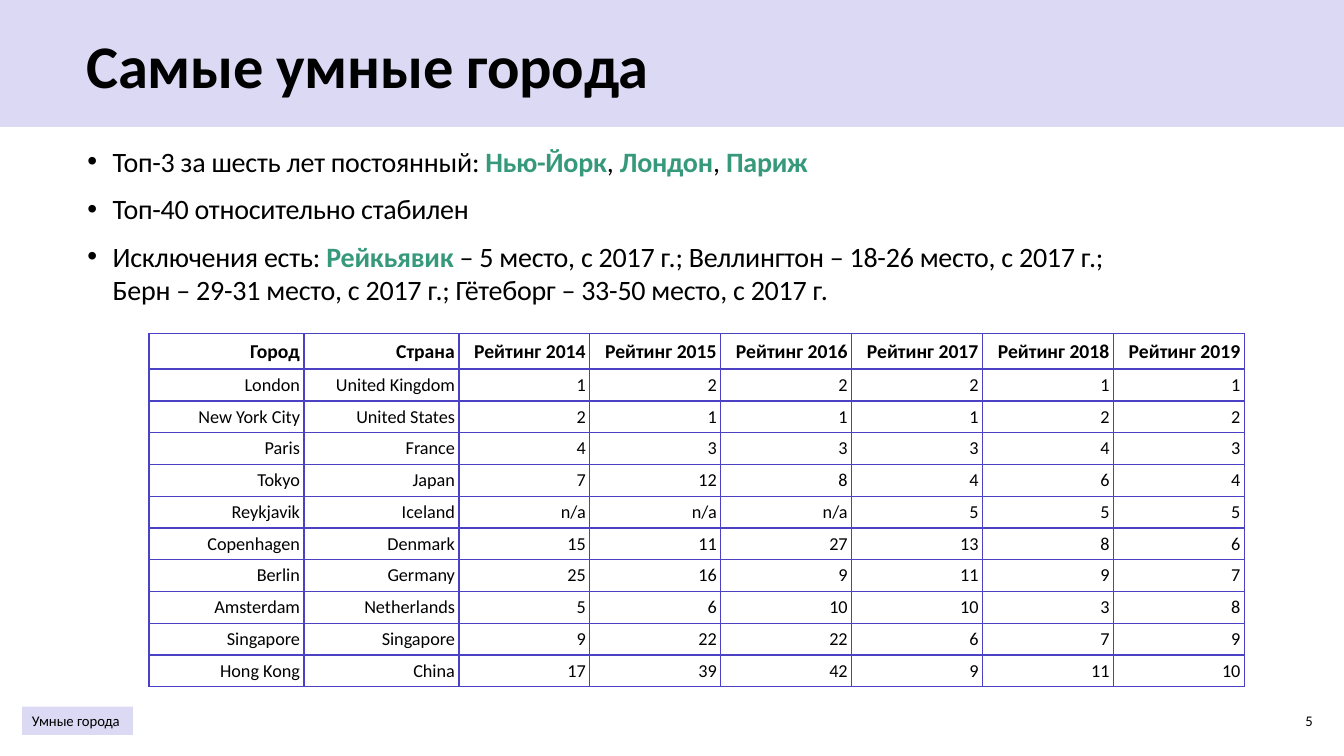
from collections import namedtuple

from lxml.etree import SubElement
from pptx import Presentation
from pptx.dml.color import RGBColor
from pptx.enum.shapes import MSO_SHAPE
from pptx.enum.text import MSO_ANCHOR, PP_ALIGN
from pptx.oxml.ns import qn
from pptx.util import Pt

Box = namedtuple("Box", "left top width height")

LAVENDER = RGBColor(0xDB, 0xD9, 0xF3)
INDIGO = RGBColor(0x4A, 0x41, 0xC5)
GREEN = RGBColor(0x37, 0x99, 0x7B)
BLACK = RGBColor(0, 0, 0)
FONT = "Calibri"

BULLETS = [
    [("Топ-3 за шесть лет постоянный: ", False), ("Нью-Йорк", True), (", ", False),
     ("Лондон", True), (", ", False), ("Париж", True)],
    [("Топ-40 относительно стабилен", False)],
    [("Исключения есть: ", False), ("Рейкьявик", True),
     (" – 5 место, с 2017 г.; Веллингтон – 18-26 место, с 2017 г.; "
      "Берн – 29-31 место, с 2017 г.; Гётеборг – 33-50 место, с 2017 г.", False)],
]

HEADER = ["Город", "Страна"] + [f"Рейтинг {year}" for year in range(2014, 2020)]
CITIES = [
    ("London", "United Kingdom", 1, 2, 2, 2, 1, 1),
    ("New York City", "United States", 2, 1, 1, 1, 2, 2),
    ("Paris", "France", 4, 3, 3, 3, 4, 3),
    ("Tokyo", "Japan", 7, 12, 8, 4, 6, 4),
    ("Reykjavik", "Iceland", "n/a", "n/a", "n/a", 5, 5, 5),
    ("Copenhagen", "Denmark", 15, 11, 27, 13, 8, 6),
    ("Berlin", "Germany", 25, 16, 9, 11, 9, 7),
    ("Amsterdam", "Netherlands", 5, 6, 10, 10, 3, 8),
    ("Singapore", "Singapore", 9, 22, 22, 6, 7, 9),
    ("Hong Kong", "China", 17, 39, 42, 9, 11, 10),
]


def points(box):
    return [Pt(length) for length in box]


def write(para, text, size, color=BLACK, bold=False, align=None, spacing=None):
    span = para.add_run()
    span.text = text
    span.font.name = FONT
    span.font.size = Pt(size)
    span.font.bold = bold
    span.font.color.rgb = color
    if align is not None:
        para.alignment = align
    if spacing is not None:
        span.font._element.set("spc", str(round(spacing * 100)))


def add_panel(page, box):
    panel = page.shapes.add_shape(MSO_SHAPE.RECTANGLE, *points(box))
    panel.shadow.inherit = False
    panel.fill.solid()
    panel.fill.fore_color.rgb = LAVENDER
    panel.line.fill.background()
    return panel


def add_text_frame(page, box, anchor=MSO_ANCHOR.MIDDLE):
    frame = page.shapes.add_textbox(*points(box)).text_frame
    frame.word_wrap = True
    frame.vertical_anchor = anchor
    return frame


def add_title_band(page, box):
    add_panel(page, box)
    title = Box(box.left + 54.7, box.top + 15.1, box.width - 126, box.height - 29.5)
    frame = add_text_frame(page, title)
    write(frame.paragraphs[0], "Самые умные города", size=43.2, bold=True, spacing=-0.2)


def set_bullet(para, indent):
    properties = para._p.get_or_add_pPr()
    properties.set("marL", str(Pt(indent)))
    properties.set("indent", str(-Pt(indent)))
    SubElement(properties, qn("a:buFont"), typeface="Arial")
    SubElement(properties, qn("a:buChar"), char="•")


def add_bullets(page, box):
    frame = add_text_frame(page, box, anchor=MSO_ANCHOR.TOP)
    for index, bullet in enumerate(BULLETS):
        para = frame.add_paragraph() if index else frame.paragraphs[0]
        para.space_before = Pt(10)
        set_bullet(para, indent=18)
        for text, accented in bullet:
            write(para, text, size=20, color=GREEN if accented else BLACK,
                  bold=accented, spacing=-0.2)


def set_borders(cell, widths):
    properties = cell._tc.get_or_add_tcPr()
    for side, width in widths.items():
        line = SubElement(properties, qn(f"a:ln{side}"), w=str(Pt(width)))
        fill = SubElement(line, qn("a:solidFill"))
        SubElement(fill, qn("a:srgbClr"), val=str(INDIGO))


def fill_cell(cell, text, is_header, below_header):
    cell.margin_left = cell.margin_right = Pt(2.9)
    cell.margin_top = cell.margin_bottom = Pt(2.9)
    cell.vertical_anchor = MSO_ANCHOR.MIDDLE
    set_borders(cell, {"L": 1, "R": 1, "T": 2 if below_header else 1,
                       "B": 2 if is_header else 1})
    cell.fill.background()
    write(cell.text_frame.paragraphs[0], text, size=14 if is_header else 13,
          bold=is_header, align=PP_ALIGN.RIGHT)


def add_rating_table(page, box):
    rows = [HEADER, *CITIES]
    table = page.shapes.add_table(len(rows), len(HEADER), *points(box)).table
    table.horz_banding = False
    name_width, header_height = 110.7, 25.4
    rating_width = (box.width - 2 * name_width) / (len(HEADER) - 2)
    city_height = (box.height - header_height) / len(CITIES)
    for index, column in enumerate(table.columns):
        column.width = Pt(name_width if index < 2 else rating_width)
    for index, values in enumerate(rows):
        table.rows[index].height = Pt(city_height if index else header_height)
        for cell, value in zip(table.rows[index].cells, values):
            fill_cell(cell, str(value), is_header=index == 0, below_header=index == 1)


def add_footer(page, box):
    topic = add_panel(page, Box(box.left, box.top + 4.3, 79.2, 20.2))
    topic.text_frame.word_wrap = False
    topic.text_frame.vertical_anchor = MSO_ANCHOR.MIDDLE
    write(topic.text_frame.paragraphs[0], "Умные города", size=10.5, align=PP_ALIGN.LEFT)
    number_width = 49.7
    number = Box(box.left + box.width - number_width, box.top, number_width, box.height)
    write(add_text_frame(page, number).paragraphs[0], "5", size=10.5, align=PP_ALIGN.RIGHT)


def main():
    deck = Presentation()
    deck.slide_width, deck.slide_height = Pt(960), Pt(540)
    page = deck.slides.add_slide(deck.slide_layouts[6])
    add_title_band(page, Box(0, 0, 960, 90.7))
    add_bullets(page, Box(55.4, 99.4, 766, 124.6))
    add_footer(page, Box(15.8, 500.4, 928.9, 28.8))
    add_rating_table(page, Box(106.4, 238.3, 782.6, 252.4))
    deck.save("out.pptx")


if __name__ == "__main__":
    main()
